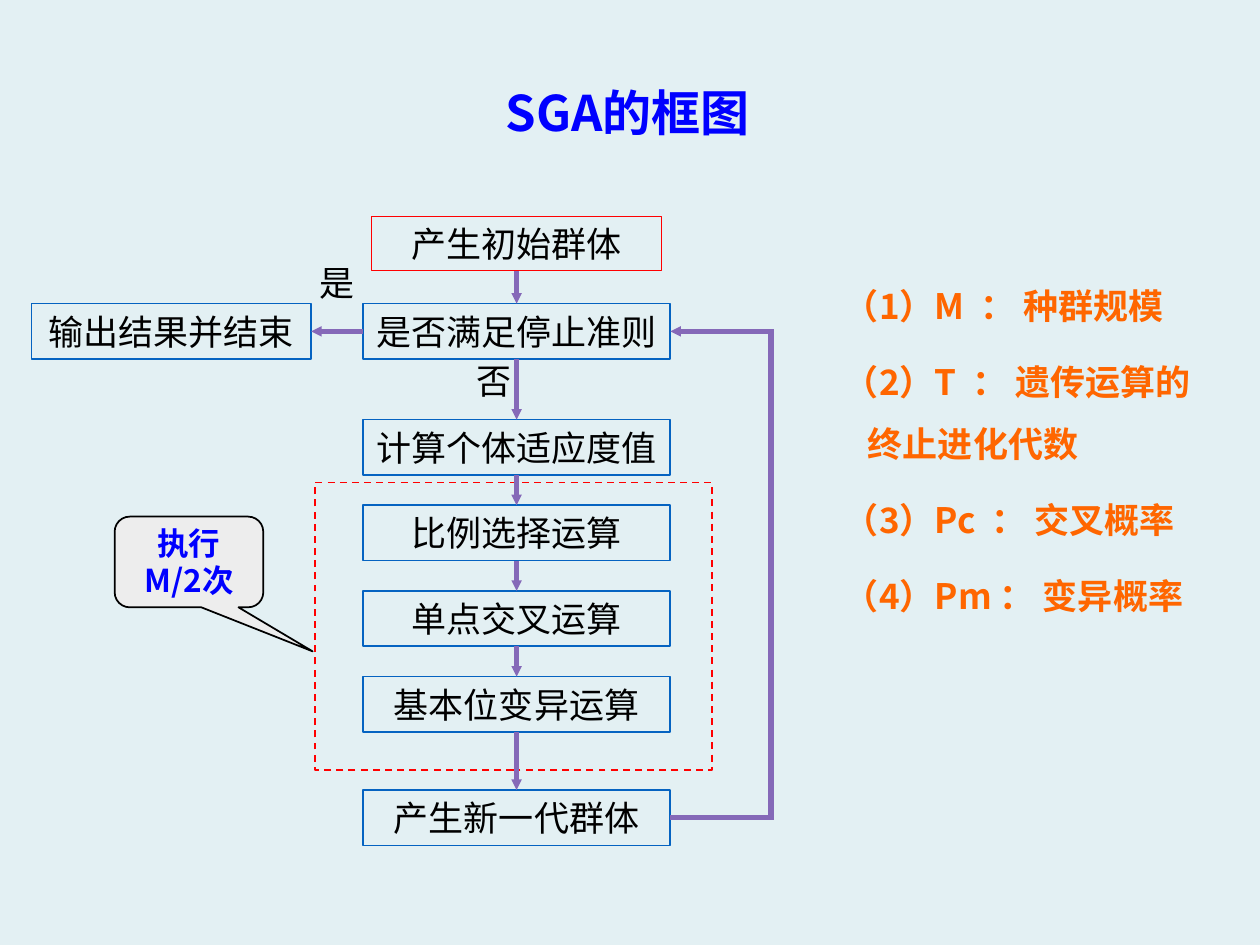
import itertools

import pptx
import pptx.dml.color
import pptx.enum.dml
import pptx.enum.shapes
import pptx.enum.text
import pptx.oxml.ns
import pptx.oxml.xmlchemy
import pptx.util
from pptx.util import Inches

COLORS = {
    "background": "E3F0F3",
    "emphasis": "0000FF",
    "parameter": "FF6600",
    "ink": "000000",
    "box": "0563C1",
    "start": "FF0000",
    "arrow": "8569B8",
    "callout": "EDEDED",
}
FONT = "Noto Sans CJK SC"
ALIGN = pptx.enum.text.PP_ALIGN
ANCHOR = pptx.enum.text.MSO_ANCHOR
SHAPE = pptx.enum.shapes.MSO_SHAPE
TOP, LEFT, BOTTOM, RIGHT = range(4)


def rgb(name):
    return pptx.dml.color.RGBColor.from_string(COLORS[name])


def add_xml(parent, tag, **attributes):
    element = pptx.oxml.xmlchemy.OxmlElement(tag)
    for key, value in attributes.items():
        element.set(key, value)
    parent.append(element)


def write_text(shape, paragraphs, size=20, color="ink", bold=False,
               align=ALIGN.CENTER, anchor=ANCHOR.MIDDLE, inset=(0.1, 0),
               wrap=True, line_spacing=None, space_after=0, hanging=0):
    """Fill shape; a paragraph is a list of (text, letter spacing in points)."""
    frame = shape.text_frame
    frame.word_wrap = wrap
    frame.vertical_anchor = anchor
    frame.margin_left = frame.margin_right = Inches(inset[0])
    frame.margin_top = frame.margin_bottom = Inches(inset[1])
    for index, pieces in enumerate(paragraphs):
        paragraph = frame.add_paragraph() if index else frame.paragraphs[0]
        paragraph.alignment = align
        paragraph.line_spacing = line_spacing
        paragraph.space_after = pptx.util.Pt(space_after)
        if hanging:
            properties = paragraph._p.get_or_add_pPr()
            properties.set("marL", str(Inches(hanging)))
            properties.set("indent", str(-Inches(hanging)))
        for text, letter_spacing in pieces:
            run = paragraph.add_run()
            run.text = text
            run.font.size = pptx.util.Pt(size)
            run.font.bold = bold
            run.font.name = FONT
            run.font.color.rgb = rgb(color)
            add_xml(run._r.get_or_add_rPr(), "a:ea", typeface=FONT)
            if letter_spacing:
                run._r.get_or_add_rPr().set("spc", str(int(letter_spacing * 100)))


class Flowchart:
    """Holds the current slide and the style of its elements."""

    def __init__(self, slide):
        self.slide = slide
        slide.background.fill.solid()
        slide.background.fill.fore_color.rgb = rgb("background")

    def text(self, left, top, width, height, paragraphs, **style):
        label = self.slide.shapes.add_textbox(*map(Inches, (left, top, width, height)))
        write_text(label, paragraphs, **style)

    def shape(self, kind, left, top, width, height, line, weight=1, fill=None):
        shape = self.slide.shapes.add_shape(kind, *map(Inches, (left, top, width, height)))
        shape.shadow.inherit = False
        if fill:
            shape.fill.solid()
            shape.fill.fore_color.rgb = rgb(fill)
        else:
            shape.fill.background()
        shape.line.color.rgb = rgb(line)
        shape.line.width = pptx.util.Pt(weight)
        return shape

    def step(self, text, left, top, width, height=0.44, line="box", weight=1):
        box = self.shape(SHAPE.RECTANGLE, left, top, width, height, line, weight)
        write_text(box, [[(text, 0)]], wrap=False)
        return box

    def line(self, start=(0, 0), end=(0, 0), source=None, target=None):
        """Draw from start to end; source and target are (box, side) to join."""
        line = self.slide.shapes.add_connector(
            pptx.enum.shapes.MSO_CONNECTOR.STRAIGHT, *map(Inches, (*start, *end)))
        if source:
            line.begin_connect(*source)
        if target:
            line.end_connect(*target)
        line.line.color.rgb = rgb("arrow")
        line.line.width = pptx.util.Pt(3)
        if target:
            outline = line._element.spPr.find(pptx.oxml.ns.qn("a:ln"))
            add_xml(outline, "a:tailEnd", type="triangle", w="sm", len="sm")
        add_xml(line._element.spPr, "a:effectLst")


def main():
    deck = pptx.Presentation()
    deck.slide_width, deck.slide_height = Inches(10), Inches(7.5)
    chart = Flowchart(deck.slides.add_slide(deck.slide_layouts[6]))

    chart.text(3.42, 0.39, 3.12, 0.79, [[("SGA的框图", 0)]], size=28,
               color="emphasis", bold=True, anchor=ANCHOR.BOTTOM,
               inset=(0.1, 0.05), line_spacing=0.9)

    step_left, step_width = 2.88, 2.44
    initial = chart.step("产生初始群体", 2.95, 1.72, 2.3, 0.43, "start", 0.75)
    steps = [chart.step(text, step_left, top, step_width) for text, top in (
        ("是否满足停止准则", 2.41),
        ("计算个体适应度值", 3.33),
        ("比例选择运算", 4.01),
        ("单点交叉运算", 4.69),
        ("基本位变异运算", 5.37),
        ("产生新一代群体", 6.27),
    )]
    criterion, new_generation = steps[0], steps[-1]
    output = chart.step("输出结果并结束", 0.25, 2.41, 2.22)

    repeated = chart.shape(SHAPE.RECTANGLE, 2.5, 3.83, 3.15, 2.28, "start")
    repeated.line.dash_style = pptx.enum.dml.MSO_LINE.DASH

    for upper, lower in itertools.pairwise([initial, *steps]):
        chart.line(source=(upper, BOTTOM), target=(lower, TOP))
    chart.line(source=(criterion, LEFT), target=(output, RIGHT))

    loop_x, loop_top, loop_bottom, corner = 6.12, 2.63, 6.49, 0.02
    chart.line(end=(loop_x + corner, loop_bottom), source=(new_generation, RIGHT))
    chart.line((loop_x, loop_bottom), (loop_x, loop_top))
    chart.line((loop_x + corner, loop_top), target=(criterion, RIGHT))

    for answer, left, top in (("是", 2.44, 2.02), ("否", 3.68, 2.8)):
        chart.text(left, top, 0.48, 0.44, [[(answer, 0)]], align=ALIGN.LEFT)

    repeat_note = chart.shape(SHAPE.ROUNDED_RECTANGULAR_CALLOUT, 0.91, 4.1, 1.18, 0.72,
                              "ink", fill="callout")
    for index, value in enumerate((0.832, 0.986, 0.167)):
        repeat_note.adjustments[index] = value
    write_text(repeat_note, [[("执行M/2次", 0)]], size=18, color="emphasis",
               bold=True, line_spacing=pptx.util.Pt(21))

    parameters = (
        ("（1）M", 4.5, "： 种群规模"),
        ("（2）T", 4.5, "： 遗传运算的终止进化代数"),
        ("（3）Pc", 4.5, "： 交叉概率"),
        ("（4）Pm", 0, "： 变异概率"),
    )
    chart.text(6.6, 2.05, 3.16, 4.14,
               [[(symbol, 0), (" ", gap), (meaning, 0)] for symbol, gap, meaning in parameters],
               color="parameter", bold=True, align=ALIGN.LEFT, anchor=ANCHOR.TOP,
               inset=(0.1, 0.05), line_spacing=pptx.util.Pt(35.4), space_after=8,
               hanging=0.19)

    deck.save("out.pptx")


if __name__ == "__main__":
    main()
